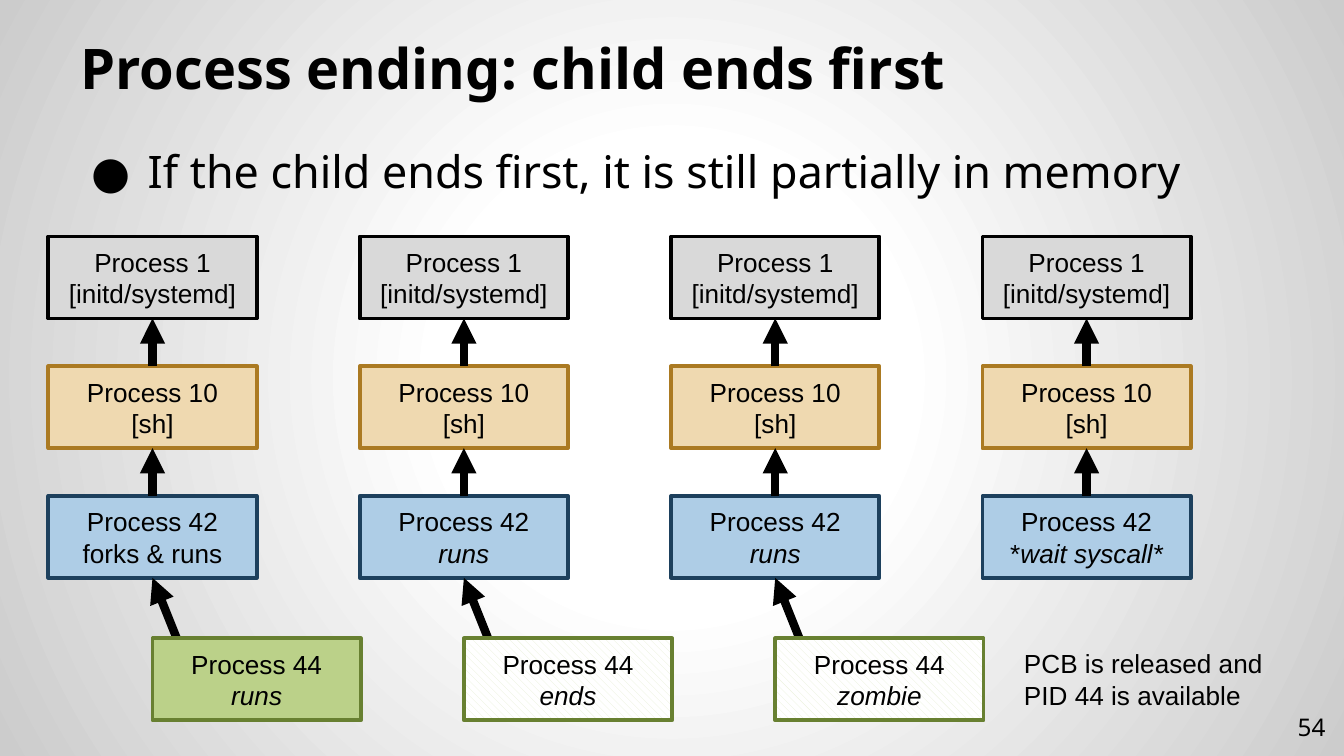
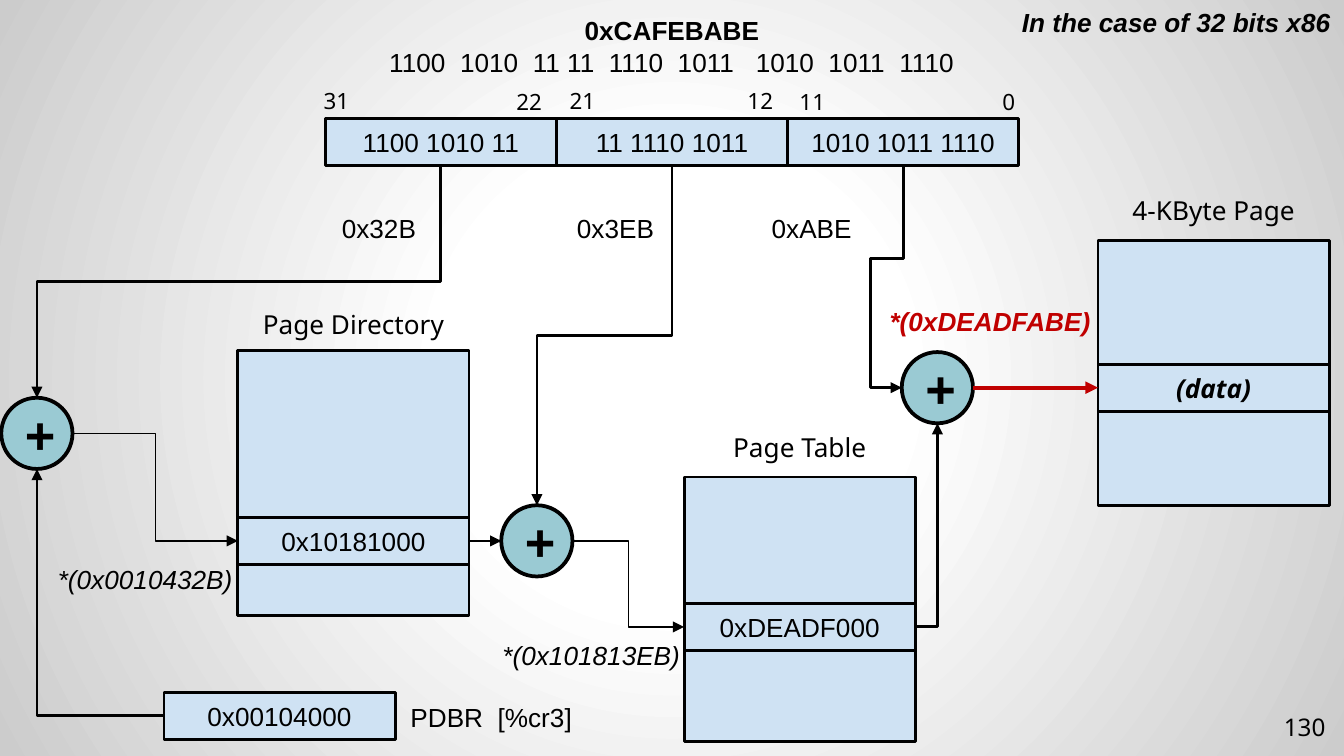
from lxml import etree
from pptx import Presentation
from pptx.dml.color import RGBColor
from pptx.enum.dml import MSO_PATTERN
from pptx.enum.shapes import MSO_CONNECTOR, MSO_SHAPE
from pptx.enum.text import MSO_ANCHOR, PP_ALIGN
from pptx.oxml.ns import qn
from pptx.util import Inches, Pt

RECTANGLE, OVAL = MSO_SHAPE.RECTANGLE, MSO_SHAPE.OVAL
LEFT, CENTER, RIGHT = PP_ALIGN.LEFT, PP_ALIGN.CENTER, PP_ALIGN.RIGHT
TOP, MIDDLE, BOTTOM = MSO_ANCHOR.TOP, MSO_ANCHOR.MIDDLE, MSO_ANCHOR.BOTTOM
STRIPES = MSO_PATTERN.WIDE_DOWNWARD_DIAGONAL
STRAIGHT = MSO_CONNECTOR.STRAIGHT

SANS, ARIAL = "Noto Sans", "Arial"
COLORS = {
    "black": "000000", "white": "FFFFFF", "edge": "CCCCCC", "red": "C00000",
    "init": "D9D9D9", "shell": "EFD9B0", "shell_line": "AB7A22",
    "parent": "AECDE6", "parent_line": "1D405D",
    "child": "BBD189", "child_line": "688031", "stripe": "E8F0D8",
    "memory": "CFE2F3", "adder": "9ACAD3",
}
# side: horizontal share, vertical share, site on a rectangle, site on an oval
SIDES = {"top": (0.5, 0, 0, 0), "left": (0, 0.5, 1, 2),
         "bottom": (0.5, 1, 2, 4), "right": (1, 0.5, 3, 6)}


def color(name):
    return RGBColor.from_string(COLORS[name])


def add_text(slide, box, text, kind=None, fill="memory", line="black", weight=1.5,
             size=14, font=ARIAL, ink="black", bold=False, italic=False,
             align=CENTER, anchor=TOP, margin=0.05):
    """Add a text box, or a filled shape when a kind is given."""
    box = [Inches(value) for value in box]
    if kind is None:
        shape = slide.shapes.add_textbox(*box)
    else:
        shape = slide.shapes.add_shape(kind, *box)
        shape.shadow.inherit = False
        shape.fill.solid()
        shape.fill.fore_color.rgb = color(fill)
        shape.line.color.rgb = color(line)
        shape.line.width = Pt(weight)
        anchor = MIDDLE
    frame = shape.text_frame
    frame.word_wrap = True
    frame.vertical_anchor = anchor
    frame.margin_top = frame.margin_bottom = Inches(margin)
    frame.text = text
    for paragraph in frame.paragraphs:
        paragraph.alignment = align
        for run in paragraph.runs:
            run.font.size = Pt(size)
            run.font.name = font
            run.font.bold = bold
            run.font.italic = italic
            run.font.color.rgb = color(ink)
    return shape


def add_arrow(slide, start, end, weight, ink="black", mark="tailEnd",
              preset=None, turn=0, flip=False, adjust=()):
    """Add an arrow; a preset with a turn in degrees makes it a bent one."""
    width, height = abs(end[0] - start[0]), abs(end[1] - start[1])
    if turn == 90:
        width, height = height, width
    left = (start[0] + end[0] - width) // 2
    top = (start[1] + end[1] - height) // 2
    connector = slide.shapes.add_connector(STRAIGHT, left, top, left + width, top + height)
    connector.line.color.rgb = color(ink)
    connector.line.width = Pt(weight)
    properties = connector._element.spPr
    if preset:
        transform = properties.find(qn("a:xfrm"))
        transform.set("rot", str(turn * 60000))
        if flip:
            transform.set("flipV", "1")
        geometry = properties.find(qn("a:prstGeom"))
        geometry.set("prst", preset)
        guides = geometry.find(qn("a:avLst"))
        for number, share in enumerate(adjust, 1):
            etree.SubElement(guides, qn("a:gd"), name=f"adj{number}",
                             fmla=f"val {round(share * 100000)}")
    etree.SubElement(properties.find(qn("a:ln")), qn(f"a:{mark}"), type="triangle")
    etree.SubElement(properties, qn("a:effectLst"))
    return connector


presentation = Presentation()
presentation.slide_width = Inches(10)
presentation.slide_height = presentation.slide_width * 9 // 16

# Shared background and page numbers
master = presentation.slide_master
master.background.fill.gradient()
gradient = master.element.find(".//" + qn("a:gradFill"))
gradient.clear()
stops = etree.SubElement(gradient, qn("a:gsLst"))
for position, name in ((0, "white"), (30, "white"), (100, "edge")):
    stop = etree.SubElement(stops, qn("a:gs"), pos=str(position * 1000))
    etree.SubElement(stop, qn("a:srgbClr"), val=COLORS[name])
circle = etree.SubElement(gradient, qn("a:path"), path="circle")
etree.SubElement(circle, qn("a:fillToRect"), {side: "50000" for side in "ltrb"})

slides = []
for number in ("54", "130"):
    slide = presentation.slides.add_slide(presentation.slide_layouts[6])
    add_text(slide, (9.36, 5.19, 0.6, 0.43), number, size=13, font=SANS,
             align=RIGHT, anchor=MIDDLE, margin=0.1)
    slides.append(slide)
ending_slide, paging_slide = slides

# Slide 1: a child process ends before its parent
slide = ending_slide
add_text(slide, (0.5, 0.23, 9, 0.62), "Process ending: child ends first", size=30,
         font=SANS, bold=True, align=LEFT, anchor=BOTTOM, margin=0.1)
body = add_text(slide, (0.5, 0.97, 9, 4.41),
                "If the child ends first, it is still partially in memory",
                size=24, font=SANS, align=LEFT, margin=0.1)
bullet = body.text_frame.paragraphs[0]._p.get_or_add_pPr()
bullet.set("marL", str(Inches(0.5)))
bullet.set("indent", str(Inches(-0.42)))
bullet_color = etree.SubElement(bullet, qn("a:buClr"))
etree.SubElement(bullet_color, qn("a:srgbClr"), val=COLORS["black"])
etree.SubElement(bullet, qn("a:buFont"), typeface=SANS)
etree.SubElement(bullet, qn("a:buChar"), char="●")

BOX_WIDTH, BOX_HEIGHT = 1.55, 0.61
FIRST_LEFT, LAST_LEFT = 0.36, 7.31
FIRST_TOP, LAST_TOP, CHILD_TOP = 1.76, 3.69, 4.75
ROW_STEP = (LAST_TOP - FIRST_TOP) / 2
stages = [("forks & runs", "runs"), ("runs", "ends"), ("runs", "zombie"), ("*", None)]

for column, (parent_state, child_state) in enumerate(stages):
    left = FIRST_LEFT + column * (LAST_LEFT - FIRST_LEFT) / (len(stages) - 1)
    rows = [("Process 1\v[initd/systemd]", "init", "black"),
            ("Process 10\v[sh]", "shell", "shell_line"),
            (f"Process 42\v{parent_state}", "parent", "parent_line")]
    chain = [add_text(slide, (left, FIRST_TOP + row * ROW_STEP, BOX_WIDTH, BOX_HEIGHT),
                      text, RECTANGLE, fill, line, 2)
             for row, (text, fill, line) in enumerate(rows)]
    for upper, lower in zip(chain, chain[1:]):
        center = upper.left + upper.width // 2
        arrow = add_arrow(slide, (center, upper.top + upper.height),
                          (center, lower.top), 4.5, mark="headEnd")
        arrow.begin_connect(upper, 2)
        arrow.end_connect(lower, 0)

    parent = chain[-1]
    parent_paragraph = parent.text_frame.paragraphs[0]
    if child_state is None:
        wait = parent_paragraph.add_run()
        wait.text = "wait syscall*"
        wait.font.size, wait.font.name, wait.font.italic = Pt(14), ARIAL, True
        wait.font.color.rgb = color("black")
        continue
    parent_paragraph.runs[1].font.italic = parent_state == "runs"
    start = (parent.left + parent.width // 2, parent.top + parent.height)
    arrow = add_arrow(slide, start, (start[0] + Inches(0.18), Inches(CHILD_TOP)),
                      4.5, mark="headEnd")
    arrow.begin_connect(parent, 2)
    child = add_text(slide, (left + BOX_WIDTH / 2, CHILD_TOP, BOX_WIDTH, BOX_HEIGHT),
                     f"Process 44\v{child_state}", RECTANGLE, "child", "child_line", 2)
    child.text_frame.paragraphs[0].runs[1].font.italic = True
    if child_state != "runs":
        child.fill.patterned()
        child.fill.pattern = STRIPES
        child.fill.fore_color.rgb = color("stripe")
        child.fill.back_color.rgb = color("white")

add_text(slide, (7.52, 4.77, 1.98, 0.57), "PCB is released and PID 44 is available",
         align=LEFT)

# Slide 2: address translation with two levels of page tables
slide = paging_slide
CELL_WIDTH, CELL_HEIGHT, TABLE_HEIGHT, ADDER_SIZE = 1.72, 0.35, 1.97, 0.53

register = add_text(slide, (1.22, 5.15, CELL_WIDTH, CELL_HEIGHT), "0x00104000", RECTANGLE)
fields = [add_text(slide, (2.42 + index * CELL_WIDTH, 0.88, CELL_WIDTH, CELL_HEIGHT),
                   bits, RECTANGLE)
          for index, bits in enumerate(("1100 1010 11", "11 1110 1011", "1010 1011 1110"))]

entries = []
for name, left, top, name_top, entry_top, content in (
        ("Page Directory", 1.77, 2.61, 2.21, 3.85, "0x10181000"),
        ("Page Table", 5.09, 3.55, 3.12, 4.49, "0xDEADF000"),
        ("4-KByte Page", 8.17, 1.79, 1.36, 2.71, "(data)")):
    is_data = content == "(data)"
    add_text(slide, (left, top, CELL_WIDTH, TABLE_HEIGHT), "", RECTANGLE)
    entries.append(add_text(slide, (left, entry_top, CELL_WIDTH, CELL_HEIGHT), content,
                            RECTANGLE, font=SANS if is_data else ARIAL,
                            bold=is_data, italic=is_data))
    add_text(slide, (left, name_top, CELL_WIDTH, 0.42), name, font=SANS,
             anchor=BOTTOM, margin=0.1)
directory_entry, table_entry, data = entries

directory_adder, table_adder, page_adder = [
    add_text(slide, (left, top, ADDER_SIZE, ADDER_SIZE), "+", OVAL, "adder",
             weight=2, size=28, bold=True)
    for left, top in ((0.01, 2.96), (3.73, 3.76), (6.71, 2.62))]

down = {"preset": "bentConnector3", "turn": 90, "adjust": (0.5,)}
across = {"preset": "bentConnector3", "adjust": (0.5,)}
around = {"preset": "bentConnector4", "turn": 90, "adjust": (0.42, 25)}
for source, source_side, target, target_side, weight, style in (
        (fields[0], "bottom", directory_adder, "top", 1.5, down),
        (fields[1], "bottom", table_adder, "top", 1.5, down),
        (fields[2], "bottom", page_adder, "left", 1.5, around),
        (register, "left", directory_adder, "bottom", 1.5,
         {"preset": "bentConnector2", "turn": 180}),
        (directory_adder, "right", directory_entry, "left", 0.75, across),
        (directory_entry, "right", table_adder, "left", 1.5, {}),
        (table_adder, "right", table_entry, "left", 0.75, across),
        (table_entry, "right", page_adder, "bottom", 1.5,
         {"preset": "bentConnector2", "flip": True}),
        (page_adder, "right", data, "left", 2.25, {"ink": "red"})):
    points, joins = [], []
    for shape, side in ((source, source_side), (target, target_side)):
        across_share, down_share, *sites = SIDES[side]
        points.append((shape.left + int(shape.width * across_share),
                       shape.top + int(shape.height * down_share)))
        joins.append((shape.shape_id, sites[shape.auto_shape_type == OVAL]))
    arrow = add_arrow(slide, *points, weight, **style)
    join_parent = arrow._element.find(".//" + qn("p:cNvCxnSpPr"))
    for tag, (shape_id, site) in zip(("a:stCxn", "a:endCxn"), joins):
        etree.SubElement(join_parent, qn(tag), id=str(shape_id), idx=str(site))

for text, left, top, align in (
        ("31", 2.31, 0.6, LEFT), ("22", 3.61, 0.61, RIGHT), ("21", 4.14, 0.6, LEFT),
        ("12", 5.33, 0.6, RIGHT), ("11", 5.85, 0.61, LEFT), ("0", 7.36, 0.61, LEFT)):
    add_text(slide, (left, top, 0.52, 0.3), text, size=12, font=SANS, align=align)

for text, left in (("0x32B", 2.39), ("0x3EB", 4.15), ("0xABE", 5.61)):
    add_text(slide, (left, 1.53, 0.86, 0.34), text)

address = add_text(slide, (2.42, 0.06, 5.16, 0.57),
                   "0xCAFEBABE\n1100  1010  11 11  1110  1011   1010  1011  1110")
address.text_frame.paragraphs[0].runs[0].font.bold = True
add_text(slide, (2.94, 5.16, 1.43, 0.35), "PDBR  [%cr3]", anchor=MIDDLE)
add_text(slide, (0.22, 4.14, 1.72, 0.35), "*(0x0010432B)", italic=True)
add_text(slide, (3.64, 4.71, 1.6, 0.34), "*(0x101813EB)", italic=True, align=LEFT)
add_text(slide, (6.52, 2.22, 1.72, 0.34), "*(0xDEADFABE)", ink="red", bold=True,
         italic=True, align=LEFT)
add_text(slide, (7.46, 0, 2.54, 0.34), "In the case of 32 bits x86", bold=True,
         italic=True, align=RIGHT)

presentation.save("out.pptx")
